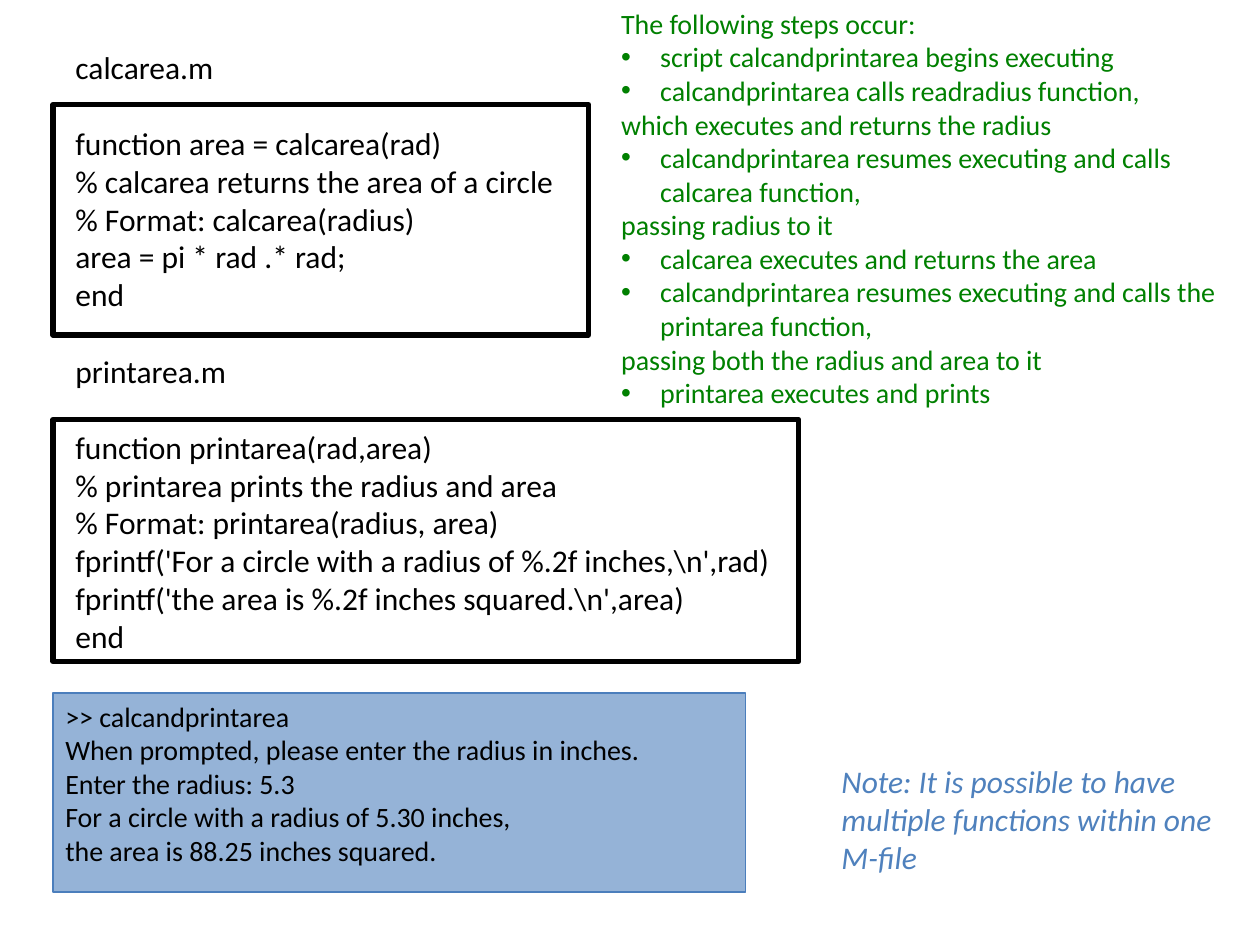
import pptx
import pptx.util
import pptx.dml.color
import pptx.enum.shapes
import pptx.enum.text
import pptx.oxml.ns
import lxml.etree

Inches = pptx.util.Inches
Pt = pptx.util.Pt
RGBColor = pptx.dml.color.RGBColor

BLACK = RGBColor(0x00, 0x00, 0x00)
GREEN = RGBColor(0x00, 0x80, 0x00)
BLUE = RGBColor(0x4F, 0x81, 0xBD)
PALE = RGBColor(0x95, 0xB3, 0xD7)
EDGE = RGBColor(0x4B, 0x7E, 0xBC)

CODE = {"name": "Calibri", "size": Pt(18), "italic": False}
SMALL = {"name": "Calibri", "size": Pt(16), "italic": False}
NOTE = {"name": "Calibri", "size": Pt(18), "italic": True}


def write(frame, lines, style, color):
    frame.word_wrap = True
    frame.auto_size = pptx.enum.text.MSO_AUTO_SIZE.SHAPE_TO_FIT_TEXT
    for num, line in enumerate(lines):
        para = frame.paragraphs[0] if num == 0 else frame.add_paragraph()
        para.space_before = Pt(0)
        run = para.add_run()
        run.text = line
        for key, value in style.items():
            setattr(run.font, key, value)
        run.font.color.rgb = color


def place(shape, box):
    for key, value in zip(("left", "top", "width", "height"), box):
        setattr(shape, key, Inches(value))


deck = pptx.Presentation()
deck.slide_width = Inches(10)
deck.slide_height = Inches(7.5)
slide = deck.slides.add_slide(deck.slide_layouts[1])
shapes = slide.shapes
title = shapes.title.element
title.getparent().remove(title)

frames = [
    ((0.42, 0.83, 4.25, 1.83), None, BLACK, 3),
    ((0.42, 3.33, 5.92, 1.92), None, BLACK, 3),
    ((0.42, 5.5, 5.5, 1.58), PALE, EDGE, 0.75),
]
for box, fill, edge, width in frames:
    rect = shapes.add_shape(
        pptx.enum.shapes.MSO_SHAPE.RECTANGLE, *[Inches(n) for n in box])
    rect.shadow.inherit = False
    if fill is None:
        rect.fill.background()
    else:
        rect.fill.solid()
        rect.fill.fore_color.rgb = fill
    rect.line.color.rgb = edge
    rect.line.width = Pt(width)

code = [
    "calcarea.m",
    "function area = calcarea(rad)",
    "% calcarea returns the area of a circle",
    "% Format: calcarea(radius)",
    "area = pi * rad .* rad;",
    "end",
    "printarea.m",
    "function printarea(rad,area)",
    "% printarea prints the radius and area",
    "% Format: printarea(radius, area)",
    r"fprintf('For a circle with a radius of %.2f inches,\n',rad)",
    r"fprintf('the area is %.2f inches squared.\n',area)",
    "end",
]
output = [
    ">> calcandprintarea",
    "When prompted, please enter the radius in inches.",
    "Enter the radius: 5.3",
    "For a circle with a radius of 5.30 inches,",
    "the area is 88.25 inches squared.",
]
note = ["Note: It is possible to have multiple functions within one M-file"]

texts = [
    ((0.5, 0.33, 6.08, 4.95), code, CODE, BLACK),
    ((0.42, 5.5, 5.5, 1.45), output, SMALL, BLACK),
    ((6.58, 6, 3.25, 1.01), note, NOTE, BLUE),
]
for box, lines, style, color in texts:
    text = shapes.add_textbox(*[Inches(n) for n in box])
    write(text.text_frame, lines, style, color)
    if lines is code:
        for para in text.text_frame.paragraphs:
            if para.text.endswith(".m") or para.text == "end":
                para.space_after = Pt(22)
        para.space_after = Pt(0)

steps = [
    ("The following steps occur:", False),
    ("script calcandprintarea begins executing", True),
    ("calcandprintarea calls readradius function,", True),
    ("which executes and returns the radius", False),
    ("calcandprintarea resumes executing and calls calcarea function,", True),
    ("passing radius to it", False),
    ("calcarea executes and returns the area", True),
    ("calcandprintarea resumes executing and calls the printarea function,", True),
    ("passing both the radius and area to it", False),
    ("printarea executes and prints", True),
]
body = slide.placeholders[1]
place(body, (4.83, 0, 5, 3.33))
write(body.text_frame, [line for line, mark in steps], SMALL, GREEN)
for para, (line, mark) in zip(body.text_frame.paragraphs, steps):
    props = para._p.get_or_add_pPr()
    dent = Inches(0.31) if mark else 0
    props.set("marL", str(dent))
    props.set("indent", str(-dent))
    if mark:
        font = lxml.etree.SubElement(props, pptx.oxml.ns.qn("a:buFont"))
        font.set("typeface", "Arial")
        dot = lxml.etree.SubElement(props, pptx.oxml.ns.qn("a:buChar"))
        dot.set("char", "•")
    else:
        lxml.etree.SubElement(props, pptx.oxml.ns.qn("a:buNone"))

deck.save("out.pptx")
